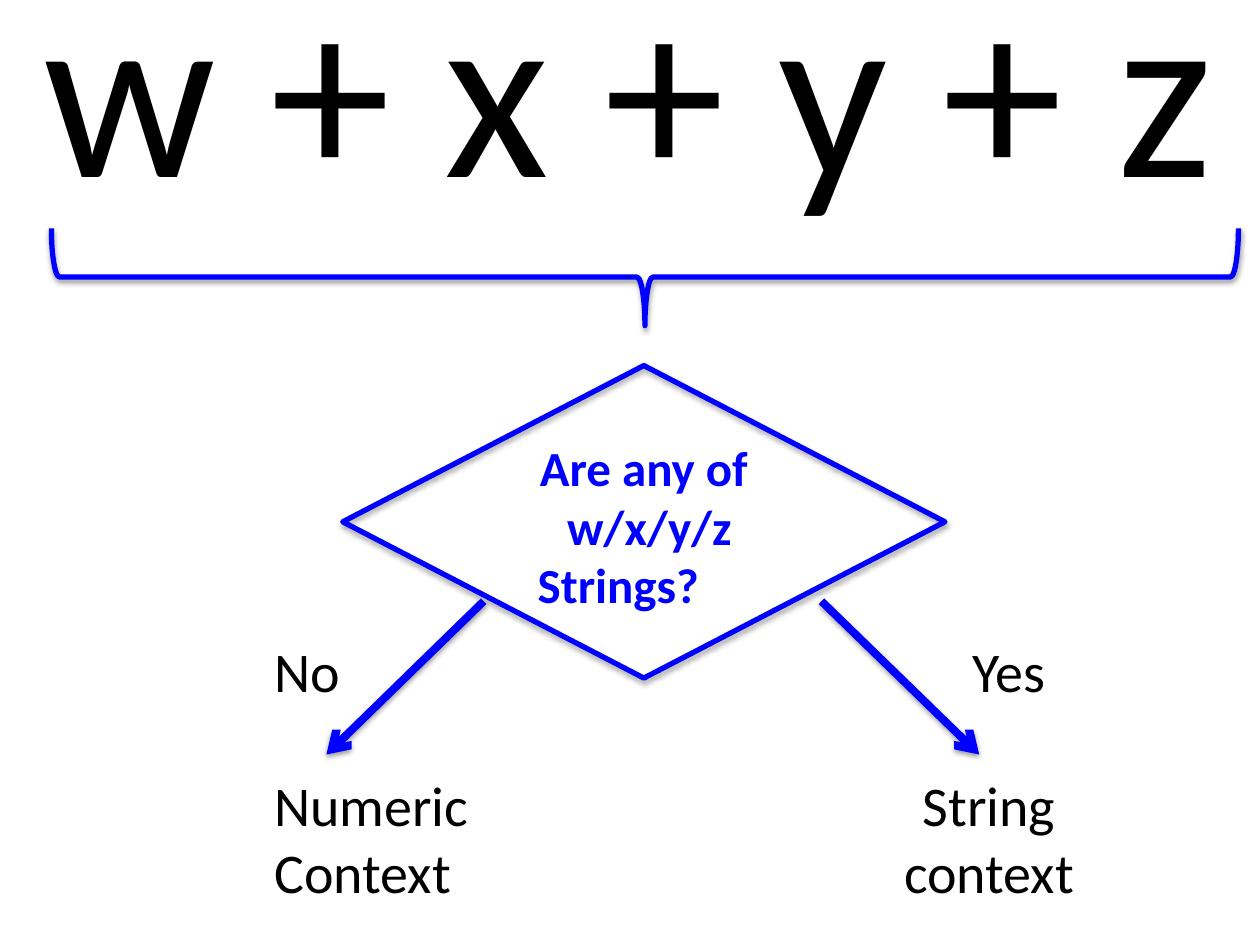
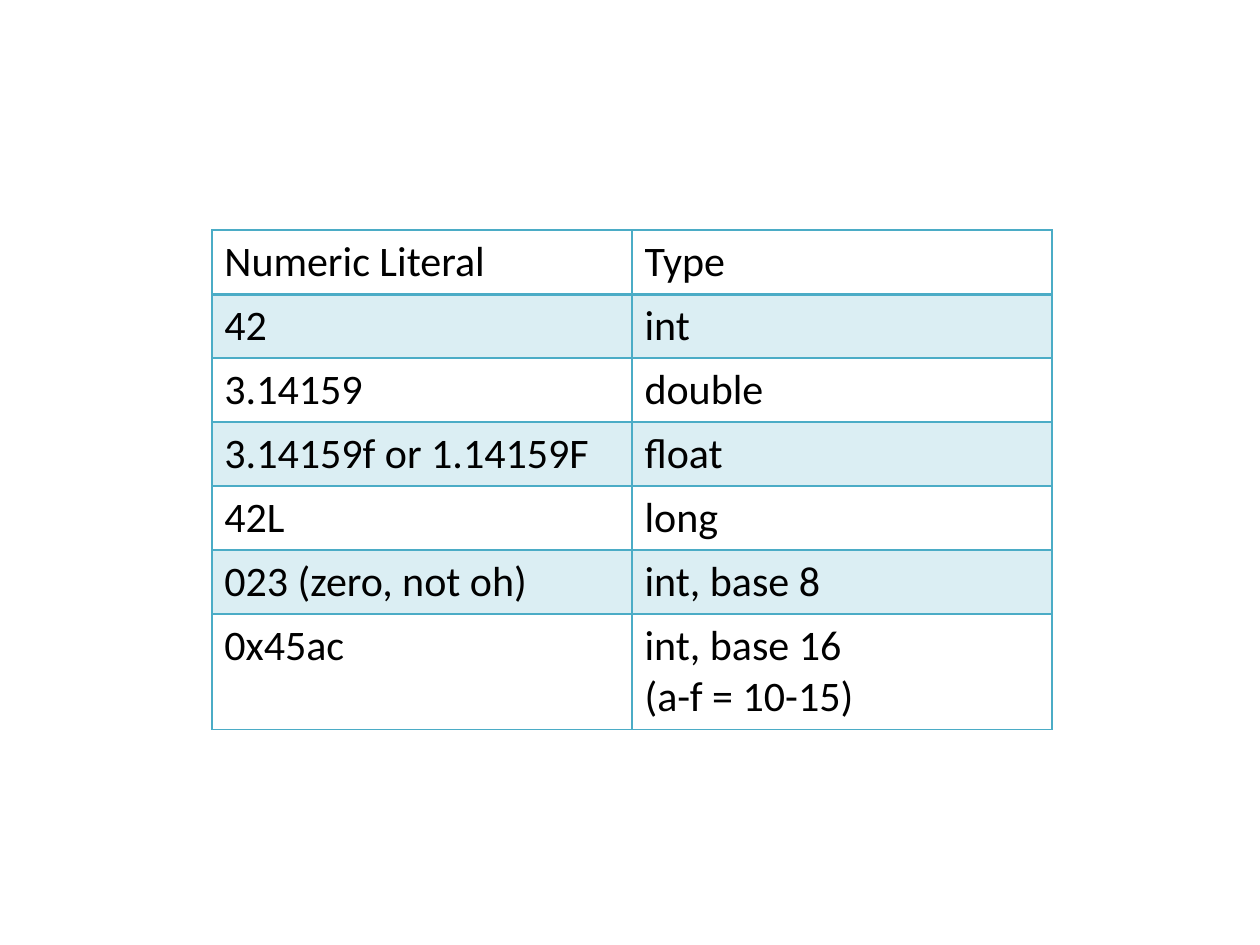
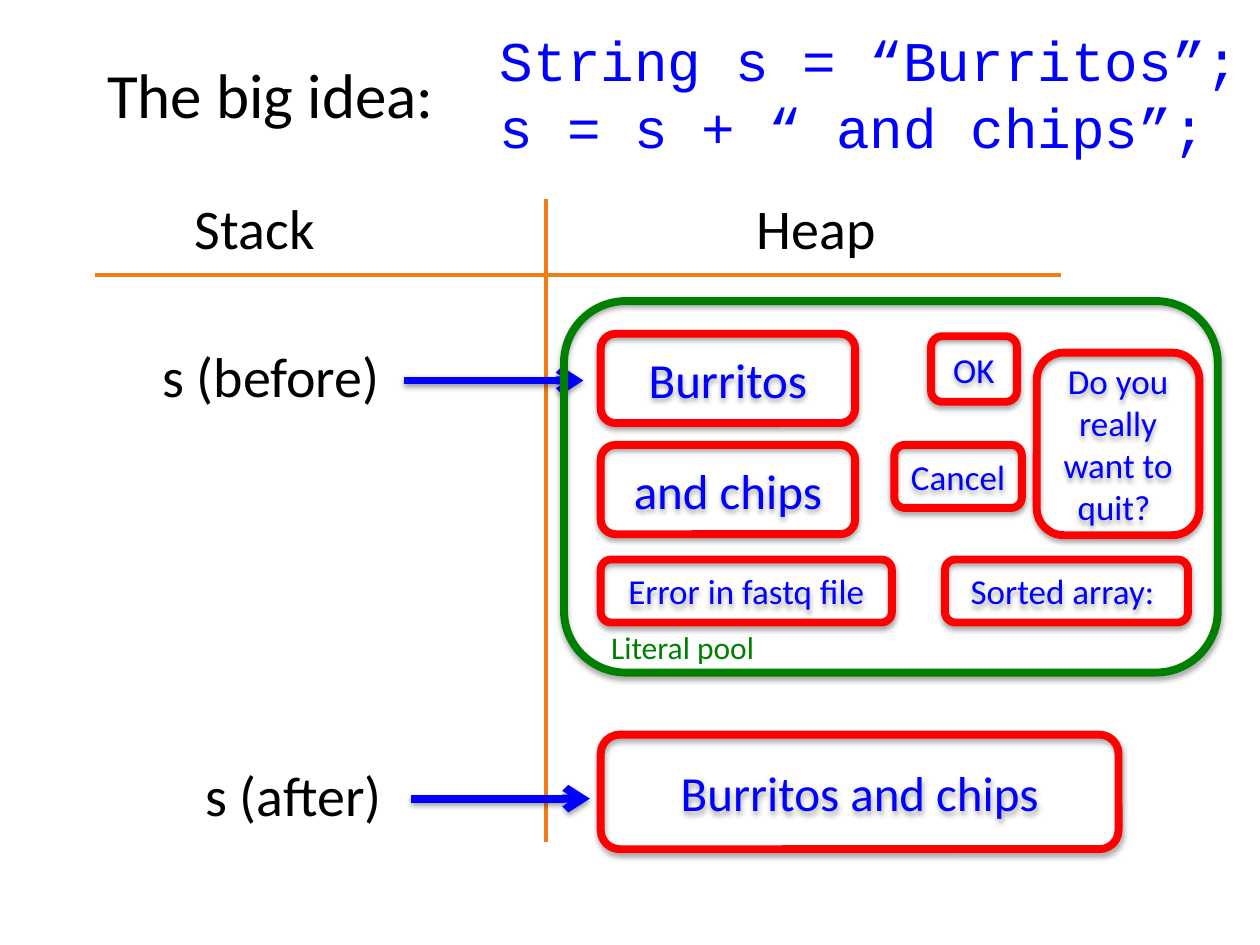
from lxml import etree
from pptx import Presentation
from pptx.dml.color import RGBColor
from pptx.enum import shapes, text
from pptx.oxml.ns import qn
from pptx.util import Cm, Pt

BLACK, BLUE, RED, GREEN = "000000", "0000FF", "FF0000", "008000"
ORANGE, TEAL = "F27C14", "4BACC6"
BODY_FONT, CODE_FONT = "Calibri", "Courier New"
LINE_SHADOW = (20000, 38000)  # distance in EMU, opacity in 1/1000 percent
BOX_SHADOW = (23000, 35000)
SHAPE = shapes.MSO_SHAPE
CENTER = text.PP_ALIGN.CENTER


def rgb(color):
    return RGBColor.from_string(color)


def child(parent, tag, **attributes):
    return etree.SubElement(parent, qn(tag), attributes)


def set_effects(shape, shadow=None):
    """Replace the theme effects by a soft downward shadow, or by none."""
    properties = shape._element.spPr
    for effects in properties.findall(qn("a:effectLst")):
        properties.remove(effects)
    effects = child(properties, "a:effectLst")
    if shadow:
        distance, opacity = shadow
        outer = child(effects, "a:outerShdw", blurRad="40000", dist=str(distance),
                      dir="5400000", rotWithShape="0")
        child(child(outer, "a:srgbClr", val=BLACK), "a:alpha", val=str(opacity))


def write(frame, lines, size, color=BLACK, font=BODY_FONT, bold=False, align=None):
    frame.text = "\n".join(lines)
    for paragraph in frame.paragraphs:
        paragraph.alignment = align
        paragraph.font.size = Pt(size)
        paragraph.font.name = font
        paragraph.font.bold = bold
        paragraph.font.color.rgb = rgb(color)


def add_text(slide, place, lines, size, **style):
    frame = slide.shapes.add_textbox(*map(Cm, place)).text_frame
    frame.word_wrap = False
    frame.auto_size = text.MSO_AUTO_SIZE.SHAPE_TO_FIT_TEXT
    write(frame, lines, size, **style)
    return frame


def add_outline(slide, kind, place, color, width, shadow=BOX_SHADOW):
    outline = slide.shapes.add_shape(kind, *map(Cm, place))
    outline.fill.background()
    outline.line.color.rgb = rgb(color)
    outline.line.width = Pt(width)
    set_effects(outline, shadow)
    return outline


def add_object_box(slide, place, value, size):
    """Draw one string object that lives on the heap."""
    box = add_outline(slide, SHAPE.ROUNDED_RECTANGLE, place, RED, 4.5)
    box.text_frame.word_wrap = True
    box.text_frame.vertical_anchor = text.MSO_ANCHOR.MIDDLE
    write(box.text_frame, [value], size, color=BLUE, align=CENTER)


def add_line(slide, ends, color, width, shadow=None):
    line = slide.shapes.add_connector(shapes.MSO_CONNECTOR.STRAIGHT, *map(Cm, ends))
    line.line.color.rgb = rgb(color)
    line.line.width = Pt(width)
    set_effects(line, shadow)
    return line


def add_arrow(slide, ends):
    arrow = add_line(slide, ends, BLUE, 4.5, LINE_SHADOW)
    child(arrow.line._get_or_add_ln(), "a:tailEnd", type="arrow")


def set_borders(cell, top, bottom):
    """Rule all four sides; top and bottom are widths in points."""
    for side, width in (("L", 1), ("R", 1), ("T", top), ("B", bottom)):
        border = child(cell._tc.get_or_add_tcPr(), f"a:ln{side}", w=str(Pt(width)))
        child(child(border, "a:solidFill"), "a:srgbClr", val=TEAL)


def add_banded_table(slide, left, top, column_width, line_heights, rows):
    """line_heights maps the number of text lines in a row to its height."""
    heights = [line_heights[max(value.count("\n") for value in row) + 1] for row in rows]
    columns = len(rows[0])
    table = slide.shapes.add_table(len(rows), columns, Cm(left), Cm(top),
                                   Cm(column_width * columns), Cm(sum(heights))).table
    table.first_row = table.horz_banding = False
    for column in table.columns:
        column.width = Cm(column_width)
    for r, (row, height) in enumerate(zip(rows, heights)):
        table.rows[r].height = Cm(height)
        for c, value in enumerate(row):
            cell = table.cell(r, c)
            write(cell.text_frame, value.split("\n"), 24)
            set_borders(cell, top=2 if r == 1 else 1, bottom=2 if r == 0 else 1)
            if r % 2:
                cell.fill.solid()
                cell.fill.fore_color.rgb = rgb(TEAL)
                tint = cell._tc.tcPr.find(qn("a:solidFill")).find(qn("a:srgbClr"))
                child(tint, "a:alpha", val="20000")
            else:
                cell.fill.background()


def build_context_decision(slide):
    add_text(slide, (0.62, -1.42, 24.33, 6.15), ["w + x + y + z"], 138)
    brace = add_outline(slide, SHAPE.RIGHT_BRACE, (12.02, -6.38, 1.96, 23.93),
                        BLUE, 3, LINE_SHADOW)
    brace.rotation = 90

    add_outline(slide, SHAPE.DIAMOND, (6.91, 7.37, 12.14, 6.3), BLUE, 3)
    question = add_text(slide, (10.59, 8.69, 4.78, 4.6),
                        ["Are any of", " w/x/y/z", "Strings?"], 28,
                        color=BLUE, bold=True, align=CENTER)
    question.paragraphs[-1].alignment = text.PP_ALIGN.LEFT

    answer_top, context_top = 12.7, 15.4
    add_text(slide, (5.28, answer_top, 1.85, 1.63), ["No"], 32)
    add_text(slide, (19.35, answer_top, 2.1, 1.63), ["Yes"], 32)
    add_text(slide, (5.28, context_top, 4.45, 3), ["Numeric", "Context"], 32)
    add_text(slide, (17.96, context_top, 3.96, 3), ["String", "context"], 32, align=CENTER)
    for start, end in ((9.75, 6.58), (16.56, 19.74)):
        add_arrow(slide, (start, 12.12, end, 15.21))


def build_literal_types(slide):
    add_banded_table(slide, 4.27, 4.64, 8.47, {1: 1.29, 2: 2.32}, [
        ("Numeric Literal", "Type"),
        ("42", "int"),
        ("3.14159", "double"),
        ("3.14159f or 1.14159F", "float"),
        ("42L", "long"),
        ("023 (zero, not oh)", "int, base 8"),
        ("0x45ac", "int, base 16\n(a-f = 10-15)"),
    ])


def build_stack_and_heap(slide):
    add_text(slide, (9.83, 0.38, 15.57, 3),
             ["String s = “Burritos”;", "s = s + “ and chips”;"], 32,
             color=BLUE, font=CODE_FONT)
    add_text(slide, (1.91, 0.99, 7.16, 1.8), ["The big idea:"], 36)
    add_text(slide, (3.68, 3.78, 3.4, 1.63), ["Stack"], 32)
    add_text(slide, (15.01, 3.78, 3.4, 1.63), ["Heap"], 32)
    add_line(slide, (11, 16.97, 11, 4.01), ORANGE, 2.25)
    add_line(slide, (1.91, 5.54, 21.39, 5.54), ORANGE, 2.25)

    add_text(slide, (3.02, 6.76, 4.98, 1.63), ["s (before)"], 32)
    add_arrow(slide, (8.15, 7.67, 11.76, 7.67))
    add_text(slide, (3.89, 15.21, 4.11, 1.63), ["s (after)"], 32)
    add_arrow(slide, (8.28, 16.1, 11.89, 16.1))

    add_outline(slide, SHAPE.ROUNDED_RECTANGLE, (11.37, 6.07, 13.18, 7.49), GREEN, 4.5)
    add_text(slide, (12.07, 12.54, 3.45, 1.02), ["Literal pool"], 18, color=GREEN)

    heap_left, second_row, third_row = 12.11, 8.97, 11.28
    for place, value, size in (
        ((heap_left, 6.73, 5.13, 1.8), "Burritos", 28),
        ((heap_left, second_row, 5.13, 1.8), "and chips", 28),
        ((heap_left, 14.81, 10.44, 2.31), "Burritos and chips", 28),
        ((18.77, 6.78, 1.73, 1.32), "OK", 20),
        ((18.03, second_row, 2.57, 1.27), "Cancel", 20),
        ((19.05, third_row, 4.9, 1.27), "Sorted array: ", 20),
        ((heap_left, third_row, 5.87, 1.27), "Error in fastq file", 20),
        ((20.9, 7.11, 3.28, 3.68), "Do you really want to quit? ", 20),
    ):
        add_object_box(slide, place, value, size)


def main():
    deck = Presentation()
    deck.slide_width, deck.slide_height = Cm(25.4), Cm(19.05)
    blank = deck.slide_layouts[6]
    for build in (build_context_decision, build_literal_types, build_stack_and_heap):
        build(deck.slides.add_slide(blank))
    deck.save("out.pptx")


if __name__ == "__main__":
    main()
